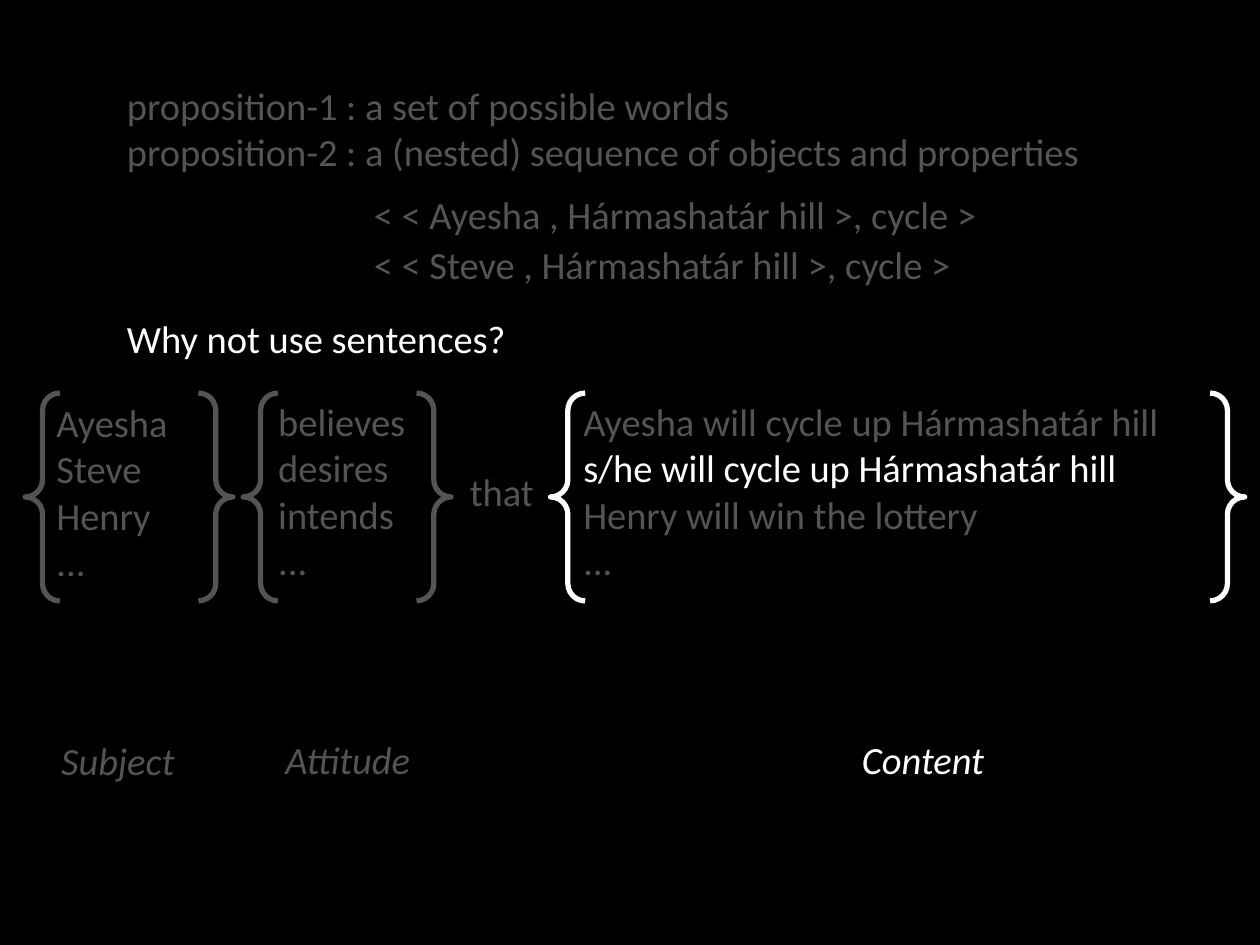
import dataclasses

import pptx
import pptx.dml.color
import pptx.enum.shapes
import pptx.enum.text
import pptx.oxml
import pptx.oxml.ns
import pptx.util

Pt = pptx.util.Pt
SHAPE = pptx.enum.shapes.MSO_SHAPE
ALIGN = pptx.enum.text.PP_ALIGN


@dataclasses.dataclass(frozen=True)
class Theme:
    """Colours and type sizes of the slide."""
    ink: pptx.dml.color.RGBColor = pptx.dml.color.RGBColor(255, 255, 255)
    ground: pptx.dml.color.RGBColor = pptx.dml.color.RGBColor(0, 0, 0)
    font: str = "Calibri"
    size: int = 22
    brace_width: int = 3
    veil_opacity: int = 67


THEME = Theme()


def place(box):
    """Turn a box in points into lengths."""
    return [Pt(v) for v in box]


def add_text(s, box, lines, wrap=True, italic=False, align=ALIGN.LEFT):
    """Write one paragraph for each line and return the paragraphs."""
    tf = s.shapes.add_textbox(*place(box)).text_frame
    tf.word_wrap = wrap
    tf.text = "\n".join(lines)
    for p in tf.paragraphs:
        p.alignment = align
        p.font.name = THEME.font
        p.font.size = Pt(THEME.size)
        p.font.italic = italic
        p.font.color.rgb = THEME.ink
    return tf.paragraphs


def add_braces(s, box):
    """Draw a pair of braces around a box."""
    sp = s.shapes.add_shape(SHAPE.DOUBLE_BRACE, *place(box))
    sp.shadow.inherit = False
    sp.fill.background()
    sp.line.color.rgb = THEME.ink
    sp.line.width = Pt(THEME.brace_width)


def add_veil(s, box):
    """Dim a box with a translucent rectangle."""
    sp = s.shapes.add_shape(SHAPE.RECTANGLE, *place(box))
    sp.shadow.inherit = False
    sp.fill.solid()
    sp.fill.fore_color.rgb = THEME.ground
    sp.line.fill.background()
    color = sp.fill._xPr.find(".//" + pptx.oxml.ns.qn("a:srgbClr"))
    alpha = pptx.oxml.parse_xml(
        f'<a:alpha {pptx.oxml.ns.nsdecls("a")} val="{THEME.veil_opacity * 1000}"/>')
    color.append(alpha)


def add_definitions(s, box):
    """Write the two definitions and the question below them."""
    paragraphs = add_text(s, box, [
        "proposition-1 : a set of possible worlds",
        "proposition-2 : a (nested) sequence of objects and properties",
        "Why not use sentences?"])
    paragraphs[-1].space_before = Pt(80.5)


def add_sequences(s, box):
    """Write the two nested sequences, one line box each."""
    x, y, w, h = box
    for i, name in enumerate(["Ayesha", "Steve"]):
        add_text(s, (x, y + 28.2 * i, w, h),
                 [f"< < {name} , Hármashatár hill >, cycle >"])


def add_column(s, box, words, label, label_box, wrap=False):
    """List the choices of one part of the sentence and name that part."""
    add_text(s, box, words, wrap)
    add_text(s, label_box, [label], wrap, True, ALIGN.CENTER)


def add_slide(prs):
    """Build the slide on propositions and attitudes."""
    s = prs.slides.add_slide(prs.slide_layouts[6])
    s.background.fill.solid()
    s.background.fill.fore_color.rgb = THEME.ground

    add_definitions(s, (65.5, 43.2, 601, 167))
    add_text(s, (261.4, 264.2, 53.3, 33.8), ["that"], wrap=False)
    add_column(s, (25.2, 224.6, 83.5, 113.8), ["Ayesha", "Steve", "Henry", "..."],
               "Subject", (23.8, 417.6, 87, 33.8))
    add_column(s, (151.9, 224, 92.9, 113.8), ["believes", "desires", "intends", "..."],
               "Attitude", (151.2, 417, 95, 33.8))
    add_column(s, (326.2, 224, 414, 113.8),
               ["Ayesha will cycle up Hármashatár hill",
                "s/he will cycle up Hármashatár hill",
                "Henry will win the lottery", "..."],
               "Content", (320.4, 417, 414, 33.8), wrap=True)
    for x in (14.4, 139):
        add_braces(s, (x, 224.6, 118.8, 118.8))
    add_sequences(s, (206.6, 105.8, 436.3, 33.8))

    for box in [(2.2, 213.1, 312.5, 254.9), (42.5, 20.9, 629.3, 147.6),
                (303.1, 285.1, 408.2, 73.4), (297.4, 182.9, 408.2, 73.4)]:
        add_veil(s, box)
    add_braces(s, (314.6, 224.6, 396.7, 118.8))


def main():
    """Build and save the presentation."""
    prs = pptx.Presentation()
    prs.slide_width, prs.slide_height = Pt(720), Pt(540)
    add_slide(prs)
    prs.save("out.pptx")


if __name__ == "__main__":
    main()
